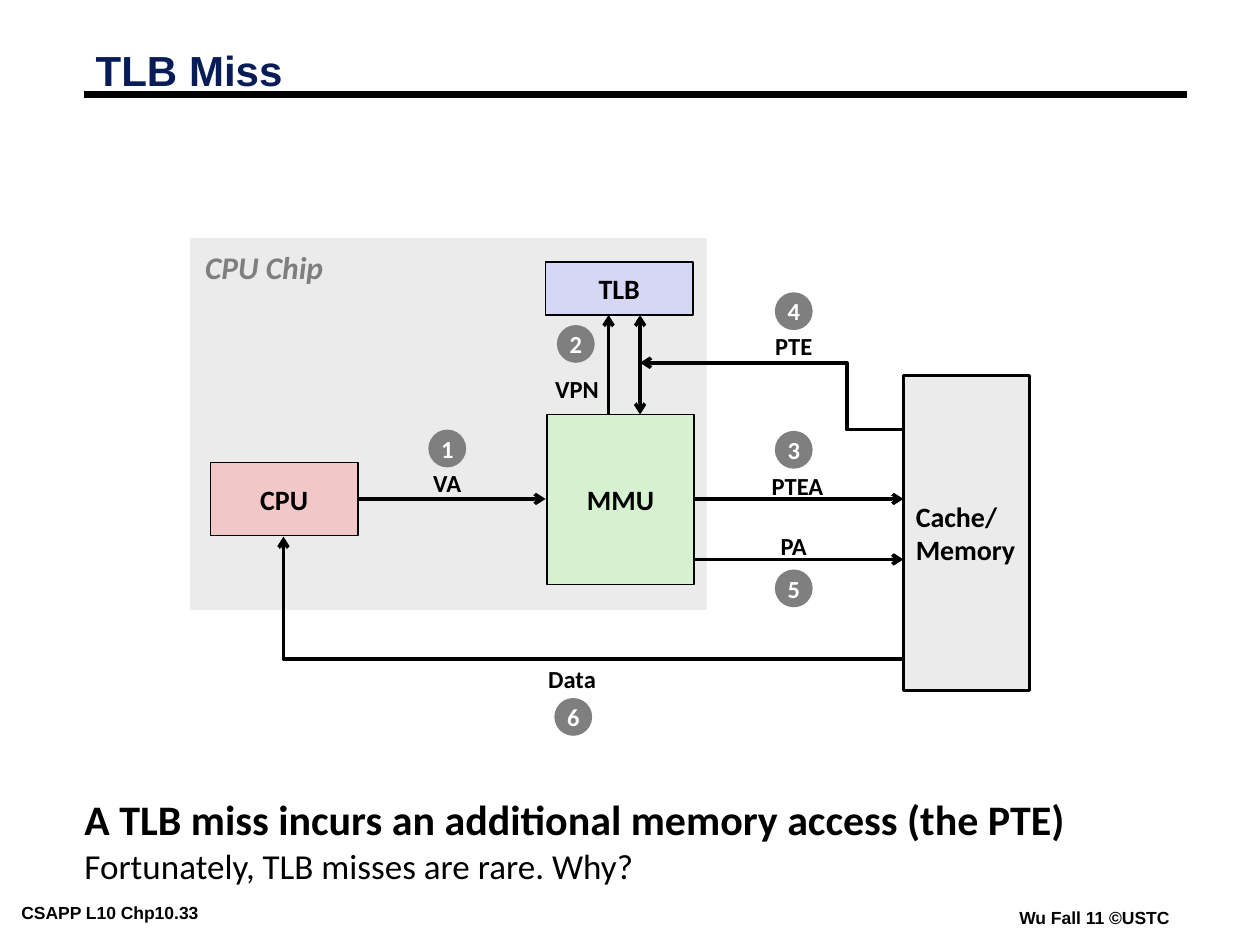
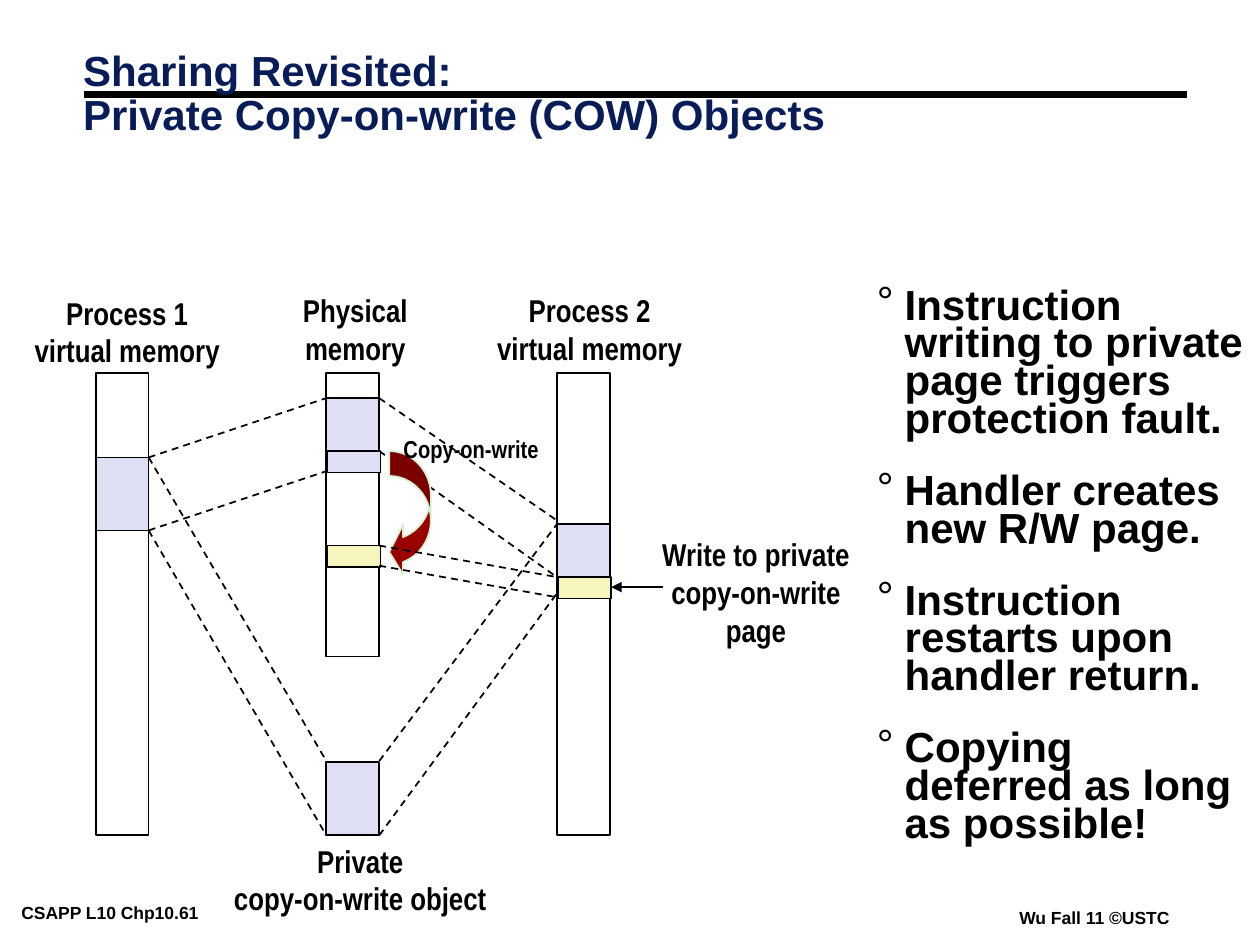
from lxml.etree import SubElement
from pptx import Presentation
from pptx.dml.color import RGBColor
from pptx.enum.dml import MSO_LINE
from pptx.enum.shapes import MSO_CONNECTOR, MSO_SHAPE
from pptx.enum.text import MSO_ANCHOR, MSO_AUTO_SIZE, PP_ALIGN
from pptx.oxml.ns import qn
from pptx.util import Inches, Pt

BLACK, WHITE, NAVY, GRAY = "000000", "FFFFFF", "081D58", "7F7F7F"
PALE_GRAY, GREEN, PINK, LILAC = "EBEBEB", "D5F1CF", "F1C7C7", "D6D6F5"
PAGE_BLUE, PAGE_YELLOW, DARK_RED = "DEDFF5", "F6F5BD", "990000"

COURSE_FOOTER = "Wu Fall 11 ©USTC"
MISS = {
    "title": "TLB Miss",
    "title_box": (0.66, 0.36, 9.53, 0.45),
    "footer": "CSAPP L10 Chp10.33",
    "body_box": (0.57, 6.25, 8.43, 1),
    "body": [
        ("A TLB miss incurs an additional memory access (the PTE)", 24, True),
        ("Fortunately, TLB misses are rare. Why?", 20, False),
    ],
}
SHARING = {
    "title": "Sharing Revisited:\vPrivate Copy-on-write (COW) Objects",
    "title_box": (0.56, 0.36, 8.3, 0.8),
    "footer": "CSAPP L10 Chp10.61",
    "body_box": (6.86, 2.25, 3.14, 4.93),
    "body": [
        "Instruction writing to private page triggers protection fault.",
        "Handler creates new R/W page.",
        "Instruction restarts upon handler return.",
        "Copying deferred as long as possible!",
    ],
}

CHIP = (1.51, 1.89, 4.1, 2.95)
UNITS = [
    ("MMU", (4.34, 3.29, 1.17, 1.35), GREEN),
    ("CPU", (1.67, 3.67, 1.17, 0.58), PINK),
    ("TLB", (4.33, 2.08, 1.17, 0.42), LILAC),
]
MEMORY = (7.17, 2.98, 1, 2.5)
STEP_SIZE = 0.3
STEP_LABEL_WIDTH = 0.8
STEPS = [
    ("1", (3.55, 3.56), "VA", (3.55, 3.84)),
    ("2", (4.57, 2.73), "VPN", (4.58, 3.08)),
    ("3", (6.3, 3.57), "PTEA", (6.33, 3.85)),
    ("4", (6.3, 2.47), "PTE", (6.3, 2.75)),
    ("5", (6.3, 4.67), "PA", (6.3, 4.33)),
    ("6", (4.55, 5.69), "Data", (4.54, 5.39)),
]
SIGNALS = [
    ((2.84, 3.96), (4.33, 3.96), None),
    ((5.5, 3.96), (7.17, 3.96), None),
    ((5.5, 4.44), (7.17, 4.44), None),
    ((4.83, 3.29), (4.83, 2.5), None),
    ((5.08, 2.5), (5.08, 3.29), "arrow"),
]
DATA_RETURN = ((7.17, 5.23), (2.25, 4.26))
PTE_RETURN = ((7.17, 3.41), (5.08, 2.88))

BAR_WIDTH = 0.42
PROCESS_1, PHYSICAL, PROCESS_2 = [0.76 + 1.83 * column for column in range(3)]
BAR_TOP, BAR_BOTTOM = 2.96, 6.63
AREA_HEIGHT, PAGE_HEIGHT = 0.58, 0.17
BARS = [
    (PROCESS_1, BAR_TOP, BAR_BOTTOM - BAR_TOP, None),
    (PHYSICAL, BAR_TOP, 2.25, None),
    (PROCESS_2, BAR_TOP, BAR_BOTTOM - BAR_TOP, None),
    (PHYSICAL, BAR_BOTTOM - AREA_HEIGHT, AREA_HEIGHT, PAGE_BLUE),
    (PHYSICAL, 3.16, AREA_HEIGHT, PAGE_BLUE),
    (PROCESS_1, 3.63, AREA_HEIGHT, PAGE_BLUE),
    (PROCESS_2, 4.16, AREA_HEIGHT, PAGE_BLUE),
]
PAGES = [
    (PHYSICAL + 0.01, 3.58, PAGE_HEIGHT, PAGE_BLUE),
    (PROCESS_2 + 0.01, 4.58, PAGE_HEIGHT, PAGE_YELLOW),
    (PHYSICAL + 0.01, 4.33, PAGE_HEIGHT, PAGE_YELLOW),
]
PROCESS_1_MAPPINGS = [(3.63, 6.04), (4.21, 6.63), (3.63, 3.16), (4.21, 3.74)]
PROCESS_2_MAPPINGS = [(6.04, 4.16), (6.63, 4.71), (3.16, 4.13), (3.58, 4.58)]
COPIED_PAGE_MAPPINGS = [(4.33, 4.58), (4.49, 4.74)]
CAPTIONS = [
    ("Process 1\nvirtual memory", (1.01, 2.63), 1.8, 18),
    ("Physical\nmemory", (2.82, 2.61), 1.2, 18),
    ("Process 2\nvirtual memory", (4.68, 2.61), 1.8, 18),
    ("Private\ncopy-on-write object", (2.86, 6.98), 2.4, 18),
    ("Write to private\ncopy-on-write\npage", (6, 4.7), 1.8, 18),
    ("Copy-on-write", (3.74, 3.56), 1.4, 14),
]


def color(hex_string):
    return RGBColor.from_string(hex_string)


def inches(values):
    return [Inches(round(value, 2)) for value in values]


def centered(center, width, height):
    return center[0] - width / 2, center[1] - height / 2, width, height


def format_font(font, name, size, hex_string=BLACK, bold=True, italic=False):
    font.name = name
    font.size = Pt(size)
    font.bold = bold
    font.italic = italic
    font.color.rgb = color(hex_string)


def write(shape, text, font, alignment=PP_ALIGN.CENTER, anchor=MSO_ANCHOR.MIDDLE, margins=(0.1, 0.05)):
    frame = shape.text_frame
    frame.text = text
    frame.word_wrap = False
    frame.vertical_anchor = anchor
    frame.margin_left = frame.margin_right = Inches(margins[0])
    frame.margin_top = frame.margin_bottom = Inches(margins[1])
    for paragraph in frame.paragraphs:
        paragraph.alignment = alignment
        format_font(paragraph.font, *font)


def add_text(slide, box, text, font, **layout):
    text_box = slide.shapes.add_textbox(*inches(box))
    write(text_box, text, font, **layout)
    return text_box


def add_block(slide, box, fill=None, line=BLACK, width=1, kind=MSO_SHAPE.RECTANGLE):
    shape = slide.shapes.add_shape(kind, *inches(box))
    shape.shadow.inherit = False
    if fill:
        shape.fill.solid()
        shape.fill.fore_color.rgb = color(fill)
    else:
        shape.fill.background()
    if line:
        shape.line.color.rgb = color(line)
        shape.line.width = Pt(width)
    else:
        shape.line.fill.background()
    return shape


def add_line(slide, start, end, width, head=None, tail=None, dashed=False, kind=MSO_CONNECTOR.STRAIGHT):
    connector = slide.shapes.add_connector(kind, *inches(start + end))
    connector.line.color.rgb = color(BLACK)
    connector.line.width = Pt(width)
    if dashed:
        connector.line.dash_style = MSO_LINE.DASH
    properties = connector._element.spPr
    outline = properties.find(qn("a:ln"))
    for tag, style in (("a:headEnd", head), ("a:tailEnd", tail)):
        if style:
            SubElement(outline, qn(tag), type=style)
    SubElement(properties, qn("a:effectLst"))
    return connector


def bend(connector, preset, share=None):
    geometry = connector._element.spPr.find(qn("a:prstGeom"))
    geometry.set("prst", preset)
    if share is not None:
        guides = geometry.find(qn("a:avLst"))
        SubElement(guides, qn("a:gd"), name="adj1", fmla=f"val {round(share * 100000)}")


def place(placeholder, box):
    placeholder.left, placeholder.top, placeholder.width, placeholder.height = inches(box)
    placeholder.text_frame.auto_size = MSO_AUTO_SIZE.NONE
    placeholder.text_frame.word_wrap = True


def set_bullet(paragraph, character=None, indent=0):
    properties = paragraph._p.get_or_add_pPr()
    properties.set("marL", str(Inches(indent)))
    properties.set("indent", str(-Inches(indent)))
    if character:
        SubElement(properties, qn("a:buChar"), char=character)
    else:
        SubElement(properties, qn("a:buNone"))


def add_footer(slide, box, text):
    return add_text(slide, box, text, ("Arial", 10), alignment=PP_ALIGN.LEFT,
                    anchor=MSO_ANCHOR.TOP, margins=(0.07, 0.03))


def start_slide(presentation, content):
    slide = presentation.slides.add_slide(presentation.slide_layouts[1])
    title, body = slide.placeholders
    place(title, content["title_box"])
    title.text_frame.text = content["title"]
    title.text_frame.vertical_anchor = MSO_ANCHOR.MIDDLE
    paragraph = title.text_frame.paragraphs[0]
    paragraph.alignment = PP_ALIGN.LEFT
    paragraph.line_spacing = 0.87
    format_font(paragraph.font, "Arial", 24, NAVY)
    place(body, content["body_box"])
    add_footer(slide, (0.1, 7.13, 2.1, 0.22), content["footer"])
    return slide, body.text_frame


def share_on_master(presentation, slide):
    rule = add_line(slide, (0.67, 0.75), (9.42, 0.75), 4.5)
    footer = add_footer(slide, (8.02, 7.17, 1.38, 0.22), COURSE_FOOTER)
    for shape in (rule, footer):
        presentation.slide_master.shapes._spTree.append(shape._element)


def build_miss(presentation):
    slide, frame = start_slide(presentation, MISS)
    share_on_master(presentation, slide)
    paragraph = frame.paragraphs[0]
    set_bullet(paragraph)
    paragraph.space_before = Pt(0)
    for index, (text, size, bold) in enumerate(MISS["body"]):
        if index:
            paragraph.add_line_break()
        run = paragraph.add_run()
        run.text = text
        format_font(run.font, "Calibri", size, bold=bold)

    add_block(slide, CHIP, PALE_GRAY, None)
    add_text(slide, (1.53, 1.92, 1.14, 0.4), "CPU Chip", ("Calibri", 18, GRAY, True, True),
             alignment=PP_ALIGN.LEFT, anchor=MSO_ANCHOR.TOP)
    for name, box, fill in UNITS:
        write(add_block(slide, box, fill), name, ("Calibri", 16))
    write(add_block(slide, MEMORY, PALE_GRAY, width=1.5), "Cache/\nMemory", ("Calibri", 16),
          alignment=PP_ALIGN.LEFT)
    for start, end, head in SIGNALS:
        add_line(slide, start, end, 2, head=head, tail="arrow")
    bend(add_line(slide, *DATA_RETURN, 2, tail="arrow", kind=MSO_CONNECTOR.ELBOW), "bentConnector2")
    bend(add_line(slide, *PTE_RETURN, 2, tail="arrow", kind=MSO_CONNECTOR.ELBOW), "bentConnector3", 0.215)
    for number, step_center, label, label_center in STEPS:
        circle = add_block(slide, centered(step_center, STEP_SIZE, STEP_SIZE), GRAY, None,
                           kind=MSO_SHAPE.OVAL)
        write(circle, number, ("Calibri", 14, WHITE))
        add_text(slide, centered(label_center, STEP_LABEL_WIDTH, 0.33), label, ("Calibri", 14))


def add_mappings(slide, left_bar, right_bar, mappings):
    for left_y, right_y in mappings:
        add_line(slide, (left_bar + BAR_WIDTH, left_y), (right_bar, right_y), 1, dashed=True)


def add_bars(slide, bars):
    for left, top, height, fill in bars:
        add_block(slide, (left, top, BAR_WIDTH, height), fill)


def build_sharing(presentation):
    slide, frame = start_slide(presentation, SHARING)
    frame.text = "\n".join(SHARING["body"])
    for index, paragraph in enumerate(frame.paragraphs):
        set_bullet(paragraph, "°", 0.22)
        paragraph.line_spacing = 0.75
        paragraph.space_before = Pt(19.5 if index else 0)
        format_font(paragraph.font, "Arial", 24)

    add_bars(slide, BARS)
    add_mappings(slide, PROCESS_1, PHYSICAL, PROCESS_1_MAPPINGS)
    add_mappings(slide, PHYSICAL, PROCESS_2, PROCESS_2_MAPPINGS)
    copy_arrow = add_block(slide, (3.09, 3.58, 0.33, 1), DARK_RED, GREEN,
                           kind=MSO_SHAPE.CURVED_LEFT_ARROW)
    for index, share in enumerate((0.6, 1.2, 0.33)):
        copy_arrow.adjustments[index] = share
    add_bars(slide, PAGES)
    add_mappings(slide, PHYSICAL, PROCESS_2, COPIED_PAGE_MAPPINGS)
    add_line(slide, (5.26, 4.66), (4.85, 4.66), 1, tail="triangle")
    for text, center, width, size in CAPTIONS:
        height = 0.4 + 0.3 * text.count("\n")
        add_text(slide, centered(center, width, height), text, ("Arial Narrow", size))


def main():
    presentation = Presentation()
    presentation.slide_width, presentation.slide_height = inches((10, 7.5))
    build_miss(presentation)
    build_sharing(presentation)
    presentation.save("out.pptx")


if __name__ == "__main__":
    main()
